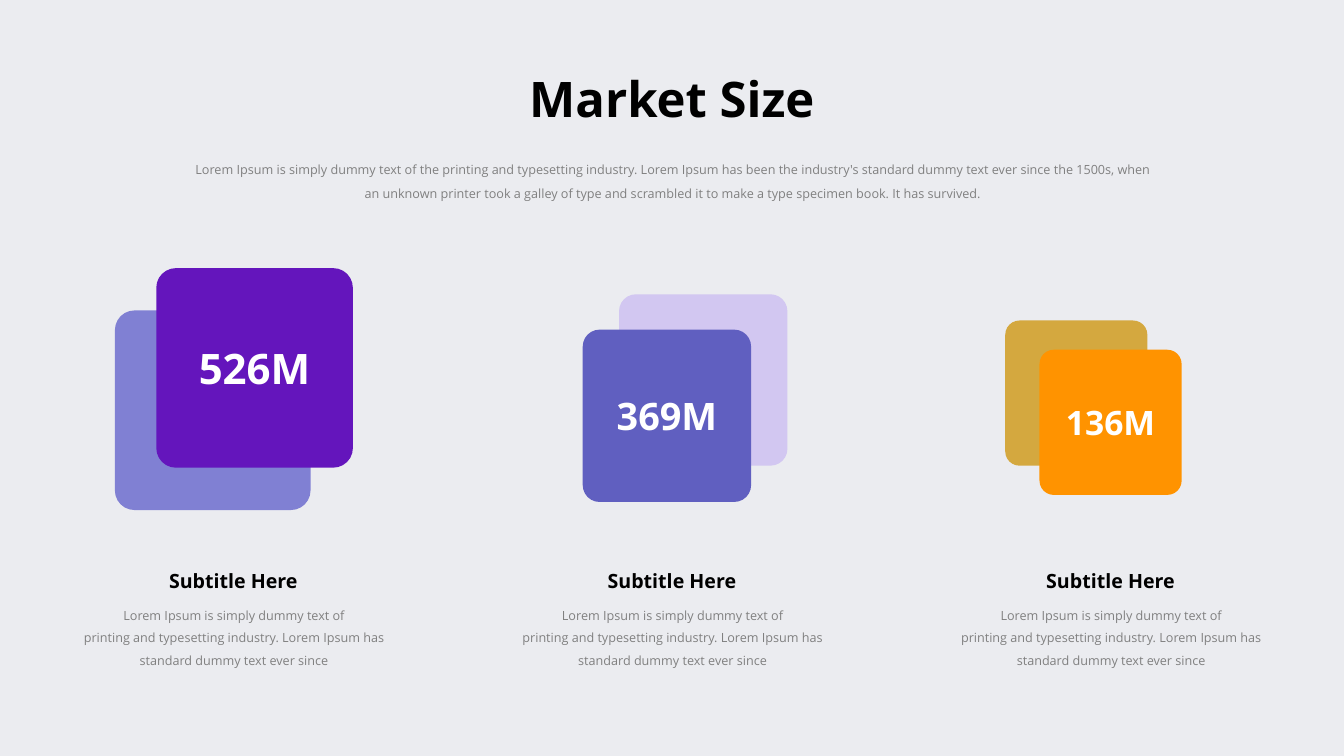
from dataclasses import dataclass

from pptx import Presentation
from pptx.dml.color import RGBColor
from pptx.enum.shapes import MSO_SHAPE
from pptx.enum.text import MSO_AUTO_SIZE, PP_ALIGN
from pptx.slide import Slide
from pptx.util import Inches, Pt

ROUNDED = MSO_SHAPE.ROUNDED_RECTANGLE
CENTER = PP_ALIGN.CENTER
GROW = MSO_AUTO_SIZE.SHAPE_TO_FIT_TEXT


@dataclass(frozen=True)
class Theme:
    font: str = "Open Sans"
    background: str = "EBECF0"
    heading: str = "000000"
    body: str = "808080"
    figure: str = "FFFFFF"
    title_size: int = 35
    subtitle_size: int = 14
    body_size: int = 9
    corner: float = 0.1


@dataclass(frozen=True)
class Box:
    left: float
    top: float
    width: float
    height: float


@dataclass(frozen=True)
class Market:
    figure: str
    figure_size: int
    back: Box
    back_color: str
    front: Box
    front_color: str


THEME = Theme()
COLUMN_PITCH = 4.35
INTRO = (
    "Lorem Ipsum is simply dummy text of the printing and typesetting industry. "
    "Lorem Ipsum has been the industry's standard dummy text ever since the 1500s, "
    "when an unknown printer took a galley of type and scrambled it to make a type "
    "specimen book. It has survived."
)
DESCRIPTION = (
    "Lorem Ipsum is simply dummy text of",
    "printing and typesetting industry. Lorem Ipsum has standard dummy text ever since",
)
MARKETS = (
    Market("526M", 30, Box(1.14, 3.08, 1.94, 1.98), "8080D3",
           Box(1.55, 2.66, 1.95, 1.98), "6415BC"),
    Market("369M", 27, Box(6.14, 2.92, 1.67, 1.7), "D2C7F1",
           Box(5.78, 3.27, 1.67, 1.71), "605FC0"),
    Market("136M", 24, Box(9.97, 3.18, 1.41, 1.44), "D4A83F",
           Box(10.31, 3.47, 1.41, 1.44), "FF9300"),
)


def add_text(slide: Slide, box: Box, *paragraphs: str, size: int, color: str,
             bold: bool = False, wrap: bool = False, spacing: int | None = None) -> None:
    frame = slide.shapes.add_textbox(
        Inches(box.left), Inches(box.top), Inches(box.width), Inches(box.height)
    ).text_frame
    frame.word_wrap = wrap
    frame.auto_size = GROW
    for index, text in enumerate(paragraphs):
        paragraph = frame.add_paragraph() if index else frame.paragraphs[0]
        paragraph.alignment = CENTER
        if spacing:
            paragraph.line_spacing = Pt(spacing)
        run = paragraph.add_run()
        run.text = text
        run.font.name = THEME.font
        run.font.size = Pt(size)
        run.font.bold = bold
        run.font.color.rgb = RGBColor.from_string(color)


def add_card(slide: Slide, box: Box, color: str) -> None:
    card = slide.shapes.add_shape(
        ROUNDED, Inches(box.left), Inches(box.top), Inches(box.width), Inches(box.height)
    )
    card.adjustments[0] = THEME.corner
    card.shadow.inherit = False
    card.fill.solid()
    card.fill.fore_color.rgb = RGBColor.from_string(color)
    card.line.fill.background()


def add_figure(slide: Slide, market: Market) -> None:
    """Centre the figure on the front card, with room for its side insets."""
    card = market.front
    width = market.figure_size * 0.037 + 0.23
    height = market.figure_size / 60 + 0.1
    box = Box(card.left + (card.width - width) / 2,
              card.top + (card.height - height) / 2, width, height)
    add_text(slide, box, market.figure, size=market.figure_size,
             color=THEME.figure, bold=True)


def main() -> None:
    deck = Presentation()
    deck.slide_width, deck.slide_height = Inches(13.33), Inches(7.5)
    slide = deck.slides.add_slide(deck.slide_layouts[6])
    slide.background.fill.solid()
    slide.background.fill.fore_color.rgb = RGBColor.from_string(THEME.background)

    # Title and introduction
    add_text(slide, Box(5.13, 0.63, 3.07, 0.69), "Market Size",
             size=THEME.title_size, color=THEME.heading, bold=True)
    add_text(slide, Box(1.8, 1.47, 9.74, 0.58), INTRO, size=THEME.body_size,
             color=THEME.body, wrap=True, spacing=17)

    # Market columns: paired cards, subtitle and description
    for column, market in enumerate(MARKETS):
        offset = column * COLUMN_PITCH
        add_card(slide, market.back, market.back_color)
        add_card(slide, market.front, market.front_color)
        add_text(slide, Box(1.57 + offset, 5.59, 1.49, 0.34), "Subtitle Here",
                 size=THEME.subtitle_size, color=THEME.heading, bold=True)
        add_text(slide, Box(0.7 + offset, 5.91, 3.24, 0.75), *DESCRIPTION,
                 size=THEME.body_size, color=THEME.body, wrap=True, spacing=16)

    # Figures on top of the cards
    for market in MARKETS:
        add_figure(slide, market)

    deck.save("out.pptx")


if __name__ == "__main__":
    main()
